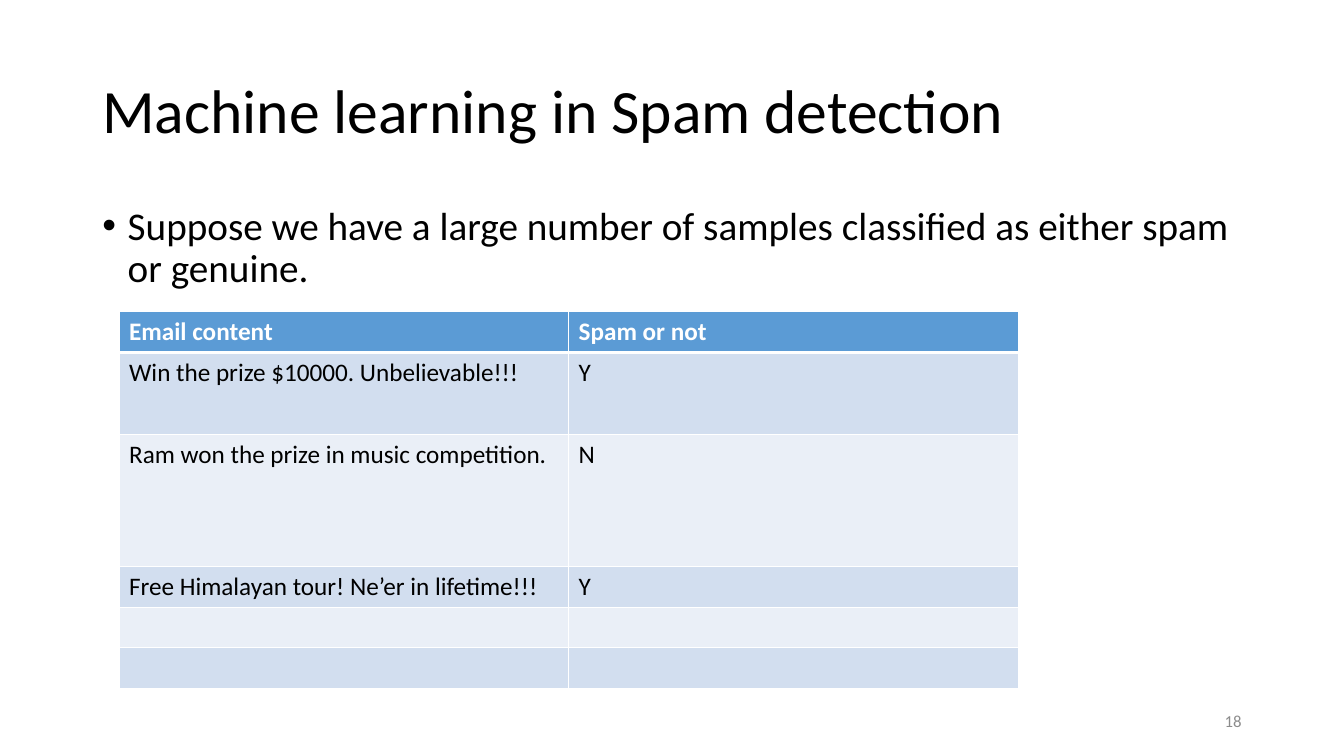
from lxml import etree
from pptx import Presentation
from pptx import util as u
from pptx.dml.color import RGBColor
from pptx.enum import text as t
from pptx.oxml import ns

FONT = "Calibri"
BLACK = RGBColor(0x00, 0x00, 0x00)
WHITE = RGBColor(0xFF, 0xFF, 0xFF)
GREY = RGBColor(0x8C, 0x8C, 0x8C)
HEADER_BLUE = RGBColor(0x5B, 0x9B, 0xD5)
BANDS = RGBColor(0xEA, 0xEF, 0xF7), RGBColor(0xD2, 0xDE, 0xEF)

SAMPLES = [
    ("Email content", "Spam or not"),
    ("Win the prize $10000. Unbelievable!!!", "Y"),
    ("Ram won the prize in music competition.", "N"),
    ("Free Himalayan tour! Ne’er in lifetime!!!", "Y"),
    ("", ""),
    ("", ""),
]
ROW_HEIGHTS = [1.03, 2.07, 3.33, 1.02, 1.02, 1.02]


def write(frame, content, size=18, color=BLACK, bold=False, align=None,
          spacing=None, before=None):
    paragraph = frame.paragraphs[0]
    paragraph.alignment = align
    paragraph.line_spacing = spacing
    if before is not None:
        paragraph.space_before = u.Pt(before)
    run = paragraph.add_run()
    run.text = content
    run.font.name = FONT
    run.font.size = u.Pt(size)
    run.font.bold = bold
    run.font.color.rgb = color
    return paragraph


def add_frame(slide, box, anchor=t.MSO_ANCHOR.TOP):
    frame = slide.shapes.add_textbox(*map(u.Cm, box)).text_frame
    frame.word_wrap = True
    frame.vertical_anchor = anchor
    return frame


def add_title(slide, box):
    write(add_frame(slide, box, t.MSO_ANCHOR.MIDDLE),
          "Machine learning in Spam detection", size=44, spacing=0.9)


def add_premise(slide, box):
    premise = write(
        add_frame(slide, box),
        "Suppose we have a large number of samples classified as either spam or genuine.",
        size=28, spacing=0.9, before=10)
    properties = premise._p.get_or_add_pPr()
    indent = u.Cm(0.64)
    properties.set("marL", str(indent))
    properties.set("indent", str(-indent))
    etree.SubElement(properties, ns.qn("a:buFont"), typeface="Arial")
    etree.SubElement(properties, ns.qn("a:buChar"), char="•")


def add_borders(cell, top=1, bottom=1):
    properties = cell._tc.get_or_add_tcPr()
    for side, points in zip("LRTB", (1, 1, top, bottom)):
        line = etree.SubElement(properties, ns.qn(f"a:ln{side}"), w=str(u.Pt(points)))
        fill = etree.SubElement(line, ns.qn("a:solidFill"))
        etree.SubElement(fill, ns.qn("a:srgbClr"), val=str(WHITE))


def add_samples(slide, box):
    table = slide.shapes.add_table(len(SAMPLES), 2, *map(u.Cm, box)).table
    for column in table.columns:
        column.width = u.Cm(box[2] / 2)
    for index, (sample, height) in enumerate(zip(SAMPLES, ROW_HEIGHTS)):
        header = index == 0
        table.rows[index].height = u.Cm(height)
        for cell, content in zip(table.rows[index].cells, sample):
            add_borders(cell, top=3 if index == 1 else 1, bottom=3 if header else 1)
            cell.fill.solid()
            cell.fill.fore_color.rgb = HEADER_BLUE if header else BANDS[index % 2]
            if content:
                write(cell.text_frame, content, bold=header,
                      color=WHITE if header else BLACK)


def add_page_number(slide, box):
    write(add_frame(slide, box, t.MSO_ANCHOR.MIDDLE), "18", size=12,
          color=GREY, align=t.PP_ALIGN.RIGHT)


def build():
    deck = Presentation()
    deck.slide_width, deck.slide_height = u.Cm(33.87), u.Cm(19.05)
    slide = deck.slides.add_slide(deck.slide_layouts[6])
    add_title(slide, (2.33, 1.01, 29.21, 3.68))
    add_premise(slide, (2.33, 5.07, 29.21, 2.77))
    add_samples(slide, (3, 7.85, 22.66, sum(ROW_HEIGHTS)))
    add_page_number(slide, (23.92, 17.66, 7.62, 1.01))
    deck.save("out.pptx")


build()
